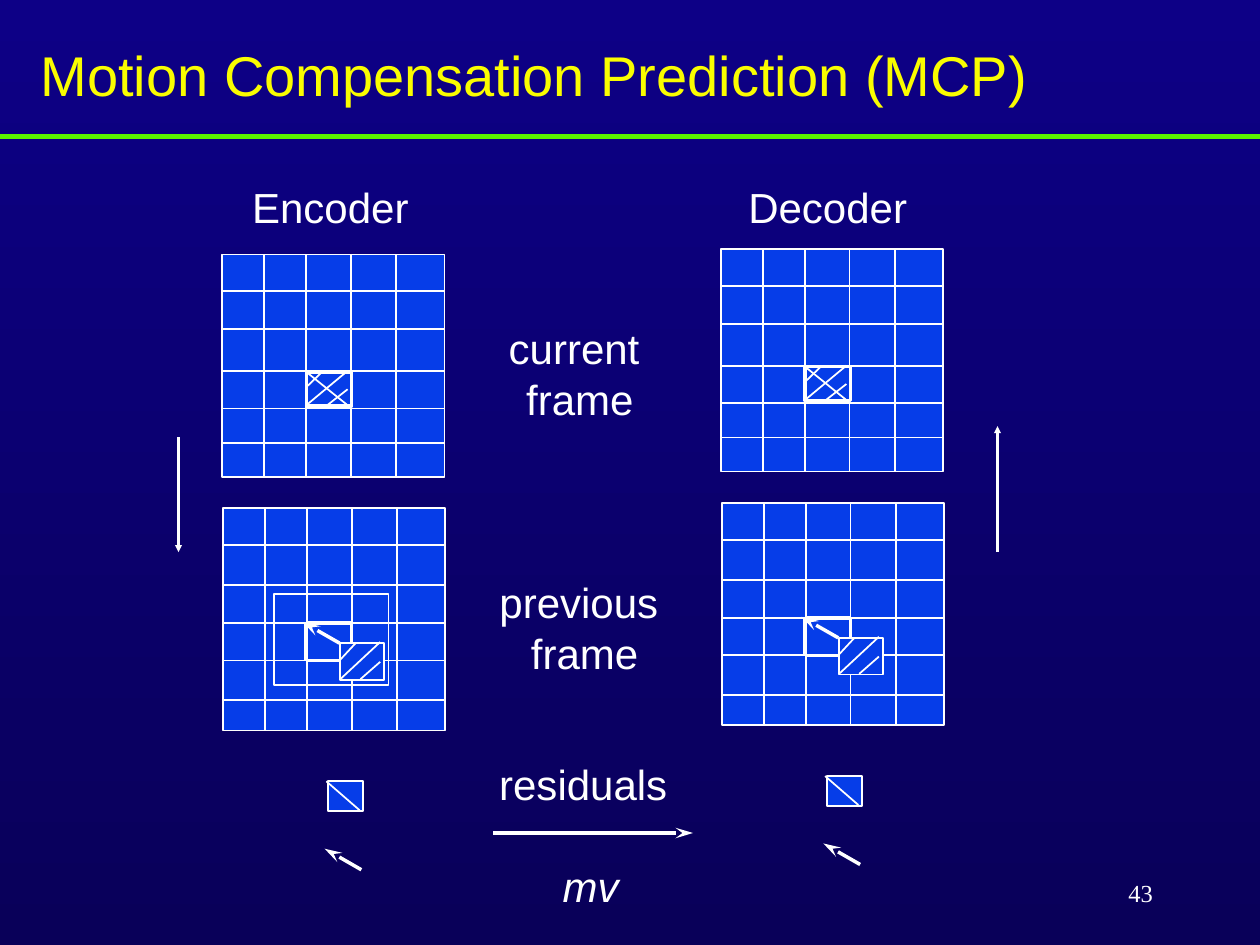
from dataclasses import dataclass

from lxml import etree
from pptx import Presentation
from pptx.dml.color import RGBColor
from pptx.enum import shapes, text
from pptx.oxml import ns
from pptx.util import Pt


@dataclass(frozen=True)
class Theme:
    top: RGBColor = RGBColor.from_string("0D0086")
    bottom: RGBColor = RGBColor.from_string("090059")
    rule: RGBColor = RGBColor.from_string("5AF400")
    title: RGBColor = RGBColor.from_string("FAFD00")
    ink: RGBColor = RGBColor.from_string("FFFFFF")
    frame: RGBColor = RGBColor.from_string("063DE8")
    font: str = "Arial"
    number_font: str = "Times New Roman"
    title_size: int = 32
    label_size: int = 24
    number_size: int = 14
    thin: int = 1
    thick: int = 2


THEME = Theme()
FRAME_SIZE = 127
COLUMNS = (24, 48, 73.5, 99.5)
CURRENT_ROWS = (21, 42.5, 66.5, 88, 107.5)
PREVIOUS_ROWS = (21, 44, 65.5, 87, 109.5)
HATCH = ((0.35, 0, 0, 0.45), (0.91, -0.03, 0, 0.98), (0.91, 0.51, 0.46, 0.98))
CROSS = (0, 0, 0.91, 0.98)
DIAGONAL = (-0.05, 0, 0.9, 0.97)


def add_line(slide, start, end, width=THEME.thin, color=THEME.ink, head=None, length="lg", breadth="med"):
    line = slide.shapes.add_connector(
        shapes.MSO_CONNECTOR.STRAIGHT, *(Pt(value) for value in (*start, *end)))
    line.line.color.rgb = color
    line.line.width = Pt(width)
    if head:
        etree.SubElement(line.line._get_or_add_ln(), ns.qn("a:tailEnd"),
                         type=head, w=breadth, len=length)
    etree.SubElement(line._element.spPr, ns.qn("a:effectLst"))


def add_box(slide, left, top, width, height, filled=True, outline=THEME.thin):
    box = slide.shapes.add_shape(
        shapes.MSO_SHAPE.RECTANGLE, Pt(left), Pt(top), Pt(width), Pt(height))
    box.shadow.inherit = False
    if filled:
        box.fill.solid()
        box.fill.fore_color.rgb = THEME.frame
    else:
        box.fill.background()
    box.line.color.rgb = THEME.ink
    box.line.width = Pt(outline)


def format_text(shape, size, color=THEME.ink, font=THEME.font, align=text.PP_ALIGN.LEFT, italic=None):
    for paragraph in shape.text_frame.paragraphs:
        paragraph.alignment = align
        for run in paragraph.runs:
            run.font.name = font
            run.font.size = Pt(size)
            run.font.color.rgb = color
            run.font.italic = italic


def add_label(slide, content, left, top, width, height, **style):
    label = slide.shapes.add_textbox(Pt(left), Pt(top), Pt(width), Pt(height))
    label.text_frame.text = content
    label.text_frame.word_wrap = False
    format_text(label, **{"size": THEME.label_size, **style})
    return label


def add_frame(slide, left, top, rows):
    add_box(slide, left, top, FRAME_SIZE, FRAME_SIZE)
    for row in rows:
        add_line(slide, (left, top + row), (left + FRAME_SIZE, top + row))
    for column in COLUMNS:
        add_line(slide, (left + column, top), (left + column, top + FRAME_SIZE))


def add_block(slide, left, top, width, height, strokes, outline=THEME.thin):
    add_box(slide, left, top, width, height, outline=outline)
    for x1, y1, x2, y2 in strokes:
        add_line(slide, (left + x1 * width, top + y1 * height),
                 (left + x2 * width, top + y2 * height))


def add_motion_vector(slide, left, top):
    add_line(slide, (left + 21, top + 12), (left, top), THEME.thick, head="stealth")


def add_current_frame(slide, left, top):
    add_frame(slide, left, top, CURRENT_ROWS)
    add_block(slide, left + 48, top + 67, 26, 19.5, (*HATCH, CROSS), THEME.thick)


def add_previous_frame(slide, left, top, has_search_window):
    add_frame(slide, left, top, PREVIOUS_ROWS)
    if has_search_window:
        add_box(slide, left + 29, top + 49, 65.5, 52, filled=False)
    add_block(slide, left + 67, top + 77, 25, 21, HATCH)
    add_motion_vector(slide, left + 45.5, top + 65)
    for x1, y1, x2, y2 in ((47.5, 65.5, 47.5, 87), (47.5, 65.5, 73.5, 65.5),
                           (47.5, 87, 66.5, 87), (73.5, 65.5, 73.5, 77)):
        add_line(slide, (left + x1, top + y1), (left + x2, top + y2), THEME.thick)


def add_codec_column(slide, left, top, has_search_window):
    add_current_frame(slide, left, top)
    add_previous_frame(slide, left + 0.5, top + 145, has_search_window)
    add_block(slide, left + 60.5, top + 301, 20, 17, (DIAGONAL,))
    add_motion_vector(slide, left + 58.5, top + 339.5)


def add_header(slide, width):
    title = slide.shapes.title
    title.left, title.top, title.width, title.height = Pt(16), Pt(19.5), Pt(656), Pt(46)
    title.text_frame.text = "Motion Compensation Prediction (MCP)"
    title.text_frame.auto_size = text.MSO_AUTO_SIZE.NONE
    title.text_frame.vertical_anchor = text.MSO_ANCHOR.TOP
    format_text(title, THEME.title_size, THEME.title)
    add_line(slide, (0, 78), (width, 78), 3, THEME.rule)


def add_labels(slide, left, top):
    center = text.PP_ALIGN.CENTER
    add_label(slide, "Encoder", left, top, 105, 36.5)
    add_label(slide, "Decoder", left + 283.5, top, 106.5, 36.5)
    add_label(slide, "current\n frame", left + 146, top + 81, 90, 65.5, align=center)
    add_label(slide, "previous\n frame", left + 140.5, top + 226, 106.5, 65.5, align=center)
    add_label(slide, "residuals", left + 140.5, top + 330, 111.5, 36.5, align=center)
    add_label(slide, "mv", left + 177, top + 388, 47, 36.5, align=center, italic=True)


def add_flow_arrows(slide):
    add_line(slide, (282, 476), (396, 476), THEME.thick, head="stealth")
    for start, end in (((102, 250), (102, 315.5)), ((570, 315.5), (570, 243.5))):
        add_line(slide, start, end, THEME.thick, head="triangle", length="sm", breadth="sm")


def add_slide_number(slide, left, top):
    number = add_label(slide, "43", left, top, 150, 36, size=THEME.number_size,
                       font=THEME.number_font, align=text.PP_ALIGN.RIGHT)
    number.text_frame.vertical_anchor = text.MSO_ANCHOR.MIDDLE


def main():
    presentation = Presentation()
    presentation.slide_width, presentation.slide_height = Pt(720), Pt(540)
    slide = presentation.slides.add_slide(presentation.slide_layouts[5])
    fill = slide.background.fill
    fill.gradient()
    fill.gradient_angle = 270
    for stop, color in zip(fill.gradient_stops, (THEME.top, THEME.bottom)):
        stop.color.rgb = color
    add_header(slide, 720)
    add_codec_column(slide, 127, 145.5, has_search_window=True)
    add_codec_column(slide, 412, 142.5, has_search_window=False)
    add_labels(slide, 137, 100)
    add_flow_arrows(slide)
    add_slide_number(slide, 516, 492)
    presentation.save("out.pptx")


if __name__ == "__main__":
    main()
